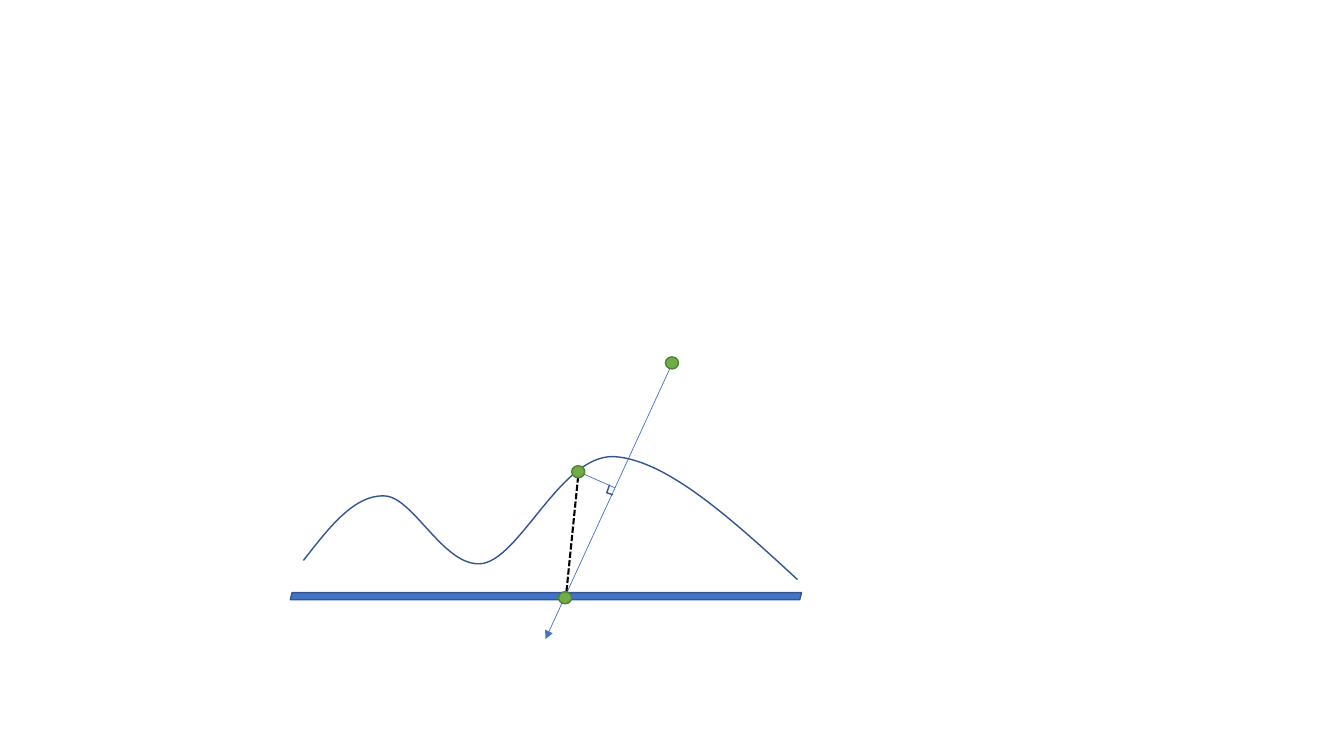
from lxml import etree
from pptx import Presentation
from pptx.dml.color import RGBColor
from pptx.enum import dml, shapes
from pptx.oxml import ns
from pptx.util import Inches, Pt

BLUE = RGBColor(0x44, 0x72, 0xC4)
DARK_BLUE = RGBColor(0x32, 0x54, 0x91)
GREEN = RGBColor(0x70, 0xAD, 0x47)
DARK_GREEN = RGBColor(0x53, 0x80, 0x35)
BLACK = RGBColor(0, 0, 0)

# Content, in inches: lines as (start, end), shapes as (left, top, width, height)
RAY = ((6.67, 3.6), (5.41, 6.34))
OFFSET = ((5.61, 5.95), (5.74, 4.67))
PERPENDICULAR = ((5.67, 4.65), (6.1, 4.84))
BASE_PLANE = (2.88, 5.88, 5.07, 0.07)
RIGHT_ANGLE = (6.02, 4.83, 0.08, 0.06)
POINT_SIZE = (0.13, 0.12)
VIEWPOINT, BASE_POINT, SURFACE_POINT = (6.6, 3.54), (5.54, 5.87), (5.67, 4.62)

# Surface profile: a start, then two control points and an end per cubic
PROFILE_START = (3.01, 5.56)
PROFILE_CUBICS = [
    ((3.26, 5.24), (3.51, 4.91), (3.81, 4.92)),
    ((4.1, 4.92), (4.41, 5.65), (4.79, 5.59)),
    ((5.17, 5.52), (5.57, 4.51), (6.09, 4.53)),
    ((6.61, 4.56), (7.26, 5.15), (7.91, 5.75)),
]
STEPS = 30

prs = Presentation()
prs.slide_width, prs.slide_height = Inches(13.33), Inches(7.5)
slide = prs.slides.add_slide(prs.slide_layouts[6])


def add_line(ends, color, width, dash=None, arrow=False):
    start, end = ends
    line = slide.shapes.add_connector(
        shapes.MSO_CONNECTOR.STRAIGHT, *map(Inches, start + end))
    line.line.color.rgb = color
    line.line.width = Pt(width)
    if dash:
        line.line.dash_style = dash
    if arrow:
        etree.SubElement(line.line._get_or_add_ln(), ns.qn("a:tailEnd"), type="triangle")
    etree.SubElement(line._element.spPr, ns.qn("a:effectLst"))


def add_filled(kind, box, fill, outline):
    shape = slide.shapes.add_shape(kind, *map(Inches, box))
    shape.shadow.inherit = False
    shape.fill.solid()
    shape.fill.fore_color.rgb = fill
    shape.line.color.rgb = outline
    shape.line.width = Pt(1)
    return shape


def add_point(corner):
    add_filled(shapes.MSO_SHAPE.OVAL, corner + POINT_SIZE, GREEN, DARK_GREEN)


def cubic_at(t, *controls):
    weights = ((1 - t) ** 3, 3 * t * (1 - t) ** 2, 3 * t * t * (1 - t), t ** 3)
    return tuple(Inches(sum(w * c for w, c in zip(weights, axis)))
                 for axis in zip(*controls))


# View ray and base plane
add_line(RAY, BLUE, 0.5, arrow=True)
add_filled(shapes.MSO_SHAPE.PARALLELOGRAM, BASE_PLANE, BLUE, DARK_BLUE)
add_point(VIEWPOINT)
add_line(OFFSET, BLACK, 1.5, dash=dml.MSO_LINE.SQUARE_DOT)

# Surface profile
profile_points, start = [], PROFILE_START
for cubic in PROFILE_CUBICS:
    profile_points += [cubic_at(i / STEPS, start, *cubic) for i in range(1, STEPS + 1)]
    start = cubic[-1]
builder = slide.shapes.build_freeform(*map(Inches, PROFILE_START))
builder.add_line_segments(profile_points, close=False)
profile = builder.convert_to_shape()
profile.shadow.inherit = False
profile.fill.background()
profile.line.color.rgb = DARK_BLUE
profile.line.width = Pt(1)

# Perpendicular with its right-angle mark
add_line(PERPENDICULAR, BLUE, 0.5)
right_angle = add_filled(shapes.MSO_SHAPE.HALF_FRAME, RIGHT_ANGLE, BLUE, DARK_BLUE)
right_angle.adjustments[0] = right_angle.adjustments[1] = 0
right_angle.rotation = 289

# Points on the base plane and the surface
for corner in (BASE_POINT, SURFACE_POINT):
    add_point(corner)

prs.save("out.pptx")
